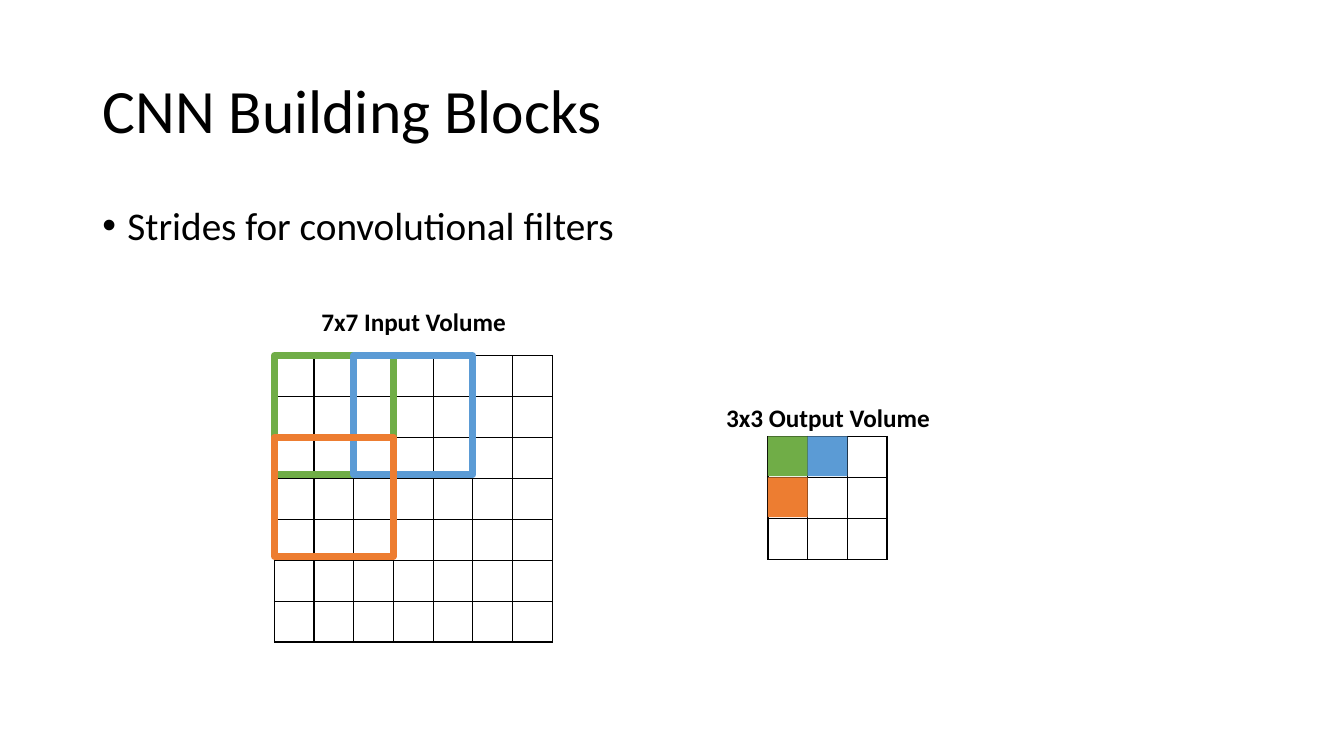
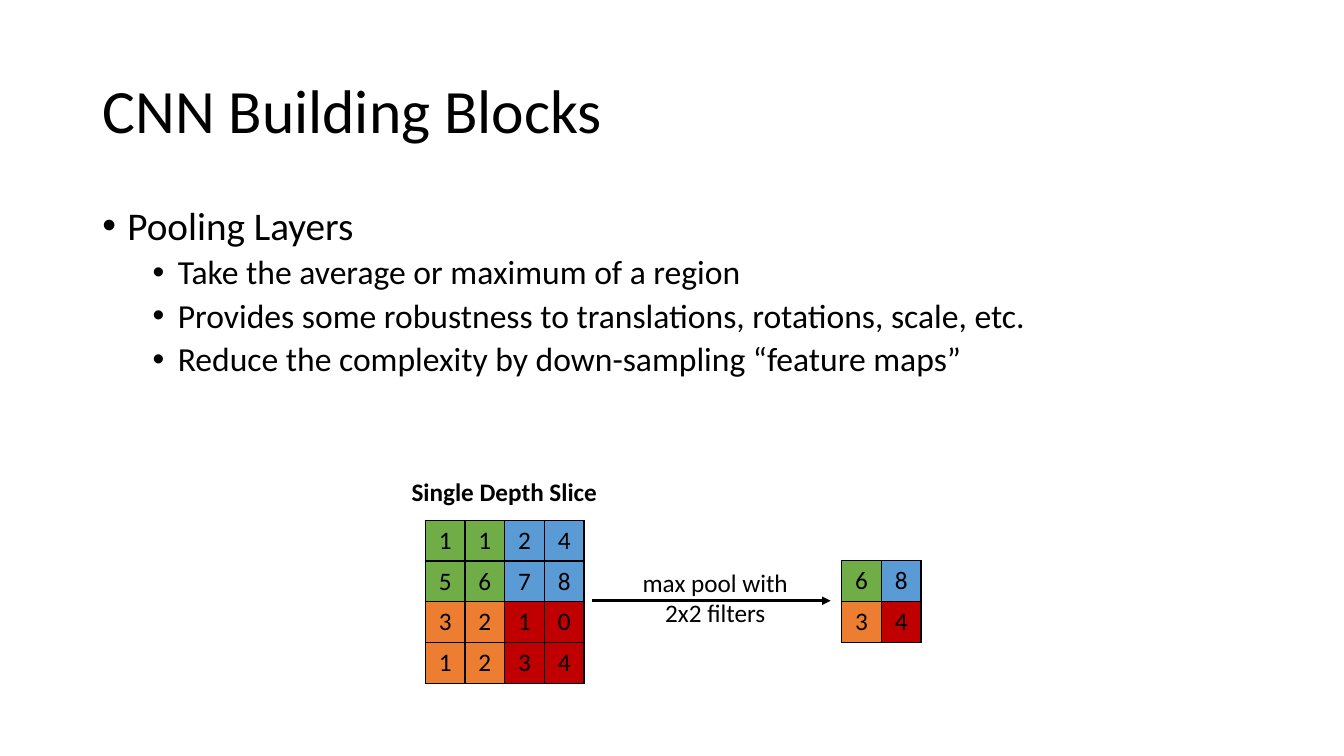
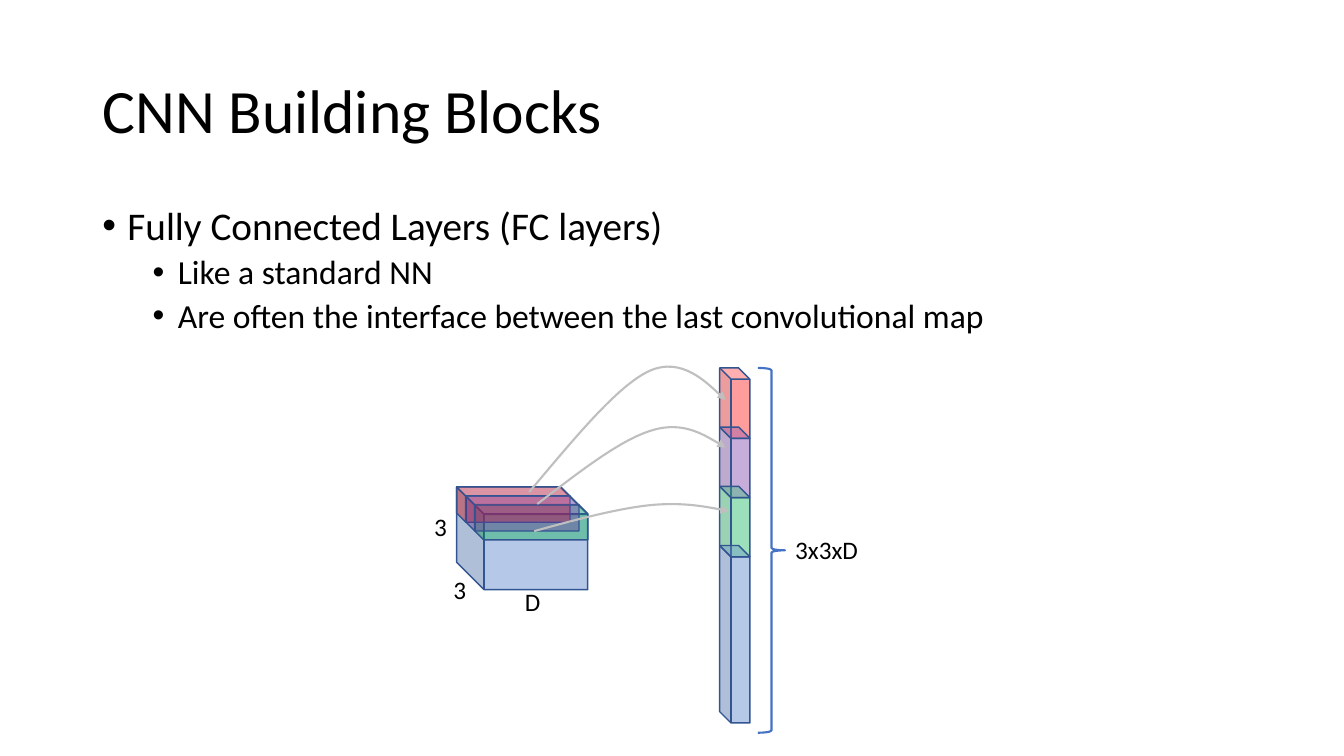
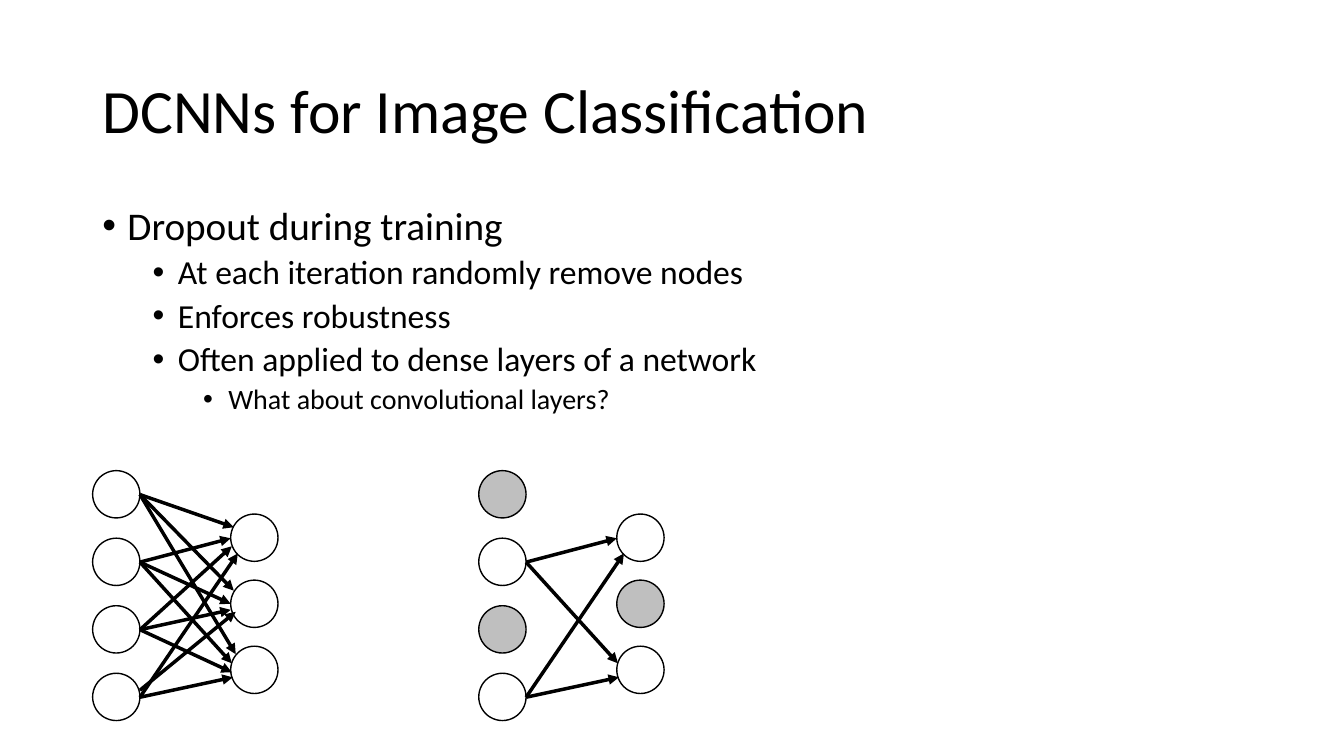
from lxml.etree import SubElement
from pptx import Presentation
from pptx.dml.color import RGBColor
from pptx.enum.shapes import MSO_CONNECTOR, MSO_SHAPE
from pptx.enum.text import MSO_ANCHOR, MSO_AUTO_SIZE, PP_ALIGN
from pptx.oxml.ns import qn
from pptx.util import Pt

FONT = "Calibri"
BLACK, WHITE, GREY = "000000", "FFFFFF", "BFBFBF"
GREEN, BLUE, ORANGE, RED = "70AD47", "5B9BD5", "ED7D31", "C00000"
QUADS = [[GREEN, BLUE], [ORANGE, RED]]
NAVY, INK = "4472C4", "325491"
SLABS = ["FF0000", "7030A0", "00B050"]
SIZES = [28, 24, 20]
COL, ROW = 28.35, 29.2
NODE = 33.8
TIPS = [
    [(100.8, 376.6), (100.8, 421.9), (102.2, 467.3)],
    [(98.6, 384.5), (98.6, 431.3), (99.4, 473.8)],
    [(99.4, 390.2), (98.6, 435.6), (99.4, 480.2)],
    [(103.7, 395.3), (102.2, 437), (100.1, 483.8)],
]
ARCS = [
    [(378, 351.4), (409.7, 313.9), (440.6, 275.8), (463.7, 265),
     (487.4, 254.2), (518.4, 285.8)],
    [(383.8, 360), (414, 337), (443.5, 313.9), (465.8, 307.4),
     (488.9, 300.2), (518.4, 319.7)],
    [(381.6, 379.4), (412.6, 370.8), (442.8, 362.9), (465.8, 360.7),
     (489.6, 358.6), (520.6, 365)],
]


def paint(target, color):
    target.solid()
    target.fore_color.rgb = RGBColor.from_string(color)


def pts(*nums):
    return [Pt(n) for n in nums]


def write(par, text, size, bold=False):
    run = par.add_run()
    run.text = text
    font = run.font
    font.name, font.size, font.bold = FONT, Pt(size), bold
    font.color.rgb = RGBColor.from_string(BLACK)


def start(deck, title, items, title_w, body_w):
    slide = deck.slides.add_slide(deck.slide_layouts[5])
    head = slide.shapes.title
    head.left, head.top, head.width, head.height = pts(66, 29, title_w, 104)
    frame = head.text_frame
    frame.auto_size = MSO_AUTO_SIZE.NONE
    frame.vertical_anchor = MSO_ANCHOR.MIDDLE
    par = frame.paragraphs[0]
    par.alignment = PP_ALIGN.LEFT
    par.line_spacing = 0.9
    write(par, title, 44)
    bullets(slide, items, body_w)
    return slide


def bullets(slide, items, width):
    box = slide.shapes.add_textbox(*pts(66, 144, width, 343))
    frame = box.text_frame
    frame.word_wrap = True
    for num, (level, text) in enumerate(items):
        par = frame.add_paragraph() if num else frame.paragraphs[0]
        props = par._p.get_or_add_pPr()
        props.set("marL", str(Pt(18 + 36 * level)))
        props.set("indent", str(Pt(-18)))
        SubElement(props, qn("a:buFont")).set("typeface", "Arial")
        SubElement(props, qn("a:buChar")).set("char", "•")
        par.level = level
        par.line_spacing = 0.9
        par.space_before = Pt(5 if num else 0)
        write(par, text, SIZES[level])


def label(slide, text, x, y, w, h=28.8, bold=False, align=PP_ALIGN.CENTER):
    frame = slide.shapes.add_textbox(*pts(x, y, w, h)).text_frame
    frame.word_wrap = True
    par = frame.paragraphs[0]
    par.alignment = align
    write(par, text, 18, bold)


def edge(cell):
    props = cell._tc.get_or_add_tcPr()
    for side in ("a:lnL", "a:lnR", "a:lnT", "a:lnB"):
        line = SubElement(props, qn(side), w=str(Pt(1)))
        fill = SubElement(line, qn("a:solidFill"))
        SubElement(fill, qn("a:srgbClr")).set("val", BLACK)


def grid(slide, x, y, count, rows=None):
    box = pts(x, y, COL * count, ROW * count)
    table = slide.shapes.add_table(count, count, *box).table
    table.first_row = table.horz_banding = False
    for i in range(count):
        table.columns[i].width = Pt(COL)
        table.rows[i].height = Pt(ROW)
        for j in range(count):
            cell = table.cell(i, j)
            edge(cell)
            par = cell.text_frame.paragraphs[0]
            par.alignment = PP_ALIGN.CENTER
            if rows:
                paint(cell.fill, QUADS[2 * i // count][2 * j // count])
                write(par, rows[i][j], 18)
            else:
                cell.fill.background()
                par.font.size = Pt(18)


def style(item, fill=None, line=None, width=1):
    item.shadow.inherit = False
    if fill:
        paint(item.fill, fill)
    else:
        item.fill.background()
    if line:
        paint(item.line.fill, line)
        item.line.width = Pt(width)
    else:
        item.line.fill.background()


def shape(slide, kind, x, y, w, h, **look):
    item = slide.shapes.add_shape(kind, *pts(x, y, w, h))
    style(item, **look)
    return item


def cube(slide, x, y, w, h, depth, color):
    item = shape(slide, MSO_SHAPE.CUBE, x, y, w, h, fill=color, line=INK)
    item.adjustments[0] = depth
    props = item.element.spPr
    props.find(qn("a:xfrm")).set("flipH", "1")
    tint = props.find(qn("a:solidFill")).find(qn("a:srgbClr"))
    SubElement(tint, qn("a:alpha")).set("val", "39000")


def point(item):
    line = item.element.spPr.find(qn("a:ln"))
    SubElement(line, qn("a:tailEnd")).set("type", "triangle")


def arrow(slide, x1, y1, x2, y2, width):
    ends = pts(x1, y1, x2, y2)
    item = slide.shapes.add_connector(MSO_CONNECTOR.STRAIGHT, *ends)
    paint(item.line.fill, BLACK)
    item.line.width = Pt(width)
    point(item)
    SubElement(item.element.spPr, qn("a:effectLst"))


def arc(slide, dots):
    first, *rest = [pts(*dot) for dot in dots + dots[-1:]]
    pen = slide.shapes.build_freeform(*first)
    pen.add_line_segments(rest, close=False)
    item = pen.convert_to_shape()
    style(item, line=GREY, width=1.5)
    point(item)
    track = item.element.find(".//" + qn("a:path"))
    steps = track.findall(qn("a:lnTo"))
    for i in range(0, len(steps), 3):
        curve = SubElement(track, qn("a:cubicBezTo"))
        for step in steps[i:i + 3]:
            curve.append(step[0])
            track.remove(step)


def net(slide, x, left_off=(), right_off=()):
    for dx, y, gap, count, off in (
        (0, 336.2, 48.24, 4, left_off),
        (98.6, 367.2, 47.2, 3, right_off),
    ):
        for i in range(count):
            shape(slide, MSO_SHAPE.OVAL, x + dx, y + gap * i, NODE, NODE,
                  fill=GREY if i in off else WHITE, line=BLACK)
    for i, row in enumerate(TIPS):
        for j, (dx, y) in enumerate(row):
            if i not in left_off and j not in right_off:
                lift = 5 if (i, j) == (3, 1) else 0
                arrow(slide, x + NODE, 353.3 + 48.24 * i - lift,
                      x + dx, y, 2.5)


def strides(deck):
    slide = start(deck, "CNN Building Blocks",
                  [(0, "Strides for convolutional filters")], 613, 693)
    grid(slide, 196, 254.2, 7)
    grid(slide, 548.6, 311.8, 3)
    marks = [(0, 0, GREEN), (1, 0, BLUE), (0, 1, ORANGE)]
    for col, row, color in marks:
        shape(slide, MSO_SHAPE.RECTANGLE, 196 + 2 * col * COL,
              254 + 2 * row * ROW, 3 * COL, 3 * COL, line=color, width=5)
    for col, row, color in marks:
        shape(slide, MSO_SHAPE.RECTANGLE, 548.6 + col * COL,
              311.8 + row * ROW, COL, COL, fill=color)
    label(slide, "7x7 Input Volume", 217.4, 215.3, 156.2, bold=True)
    label(slide, "3x3 Output Volume", 504.7, 283.7, 173.5, bold=True)


def pooling(deck):
    slide = start(deck, "CNN Building Blocks", [
        (0, "Pooling Layers"),
        (1, "Take the average or maximum of a region"),
        (1, "Provides some robustness to translations, rotations, scale, etc."),
        (1, "Reduce the complexity by down-sampling “feature maps”"),
    ], 805, 828)
    grid(slide, 303.8, 371.5, 4, ["1124", "5678", "3210", "1234"])
    grid(slide, 601.2, 400.3, 2, ["68", "34"])
    label(slide, "Single Depth Slice", 282.2, 337, 156.2, bold=True)
    arrow(slide, 422.6, 429.1, 593.3, 429.1, 2)
    label(slide, "max pool with 2x2 filters", 448.6, 401.8, 124.6, 51)


def dense(deck):
    slide = start(deck, "CNN Building Blocks", [
        (0, "Fully Connected Layers (FC layers)"),
        (1, "Like a standard NN"),
        (1, "Are often the interface between the last convolutional map"),
    ], 613, 817)
    cube(slide, 326.2, 347.8, 93.6, 73.4, 0.268, NAVY)
    for i in (2, 0, 1):
        cube(slide, 326.2 + 6.4 * i, 347.8 + 6.3 * i, 81, 25.2, 0.263, SLABS[i])
    for i, color in enumerate(SLABS + [NAVY]):
        height = 126.7 if color == NAVY else 50.4
        cube(slide, 514.1, 262.8 + 42.3 * i, 21.6, height, 0.374, color)
    for text, x, y, w in (
        ("3", 316.8, 406.8, 28),
        ("3", 303.1, 361.4, 28),
        ("D", 367.9, 415.4, 28),
        ("3x3xD", 560.9, 378, 64.8),
    ):
        label(slide, text, x, y, w, align=PP_ALIGN.LEFT)
    for dots in ARCS:
        arc(slide, dots)
    shape(slide, MSO_SHAPE.RIGHT_BRACE, 541.4, 262.8, 19.4, 260.6,
          line=NAVY, width=1.5)


def dropout(deck):
    slide = start(deck, "DCNNs for Image Classification", [
        (0, "Dropout during training"),
        (1, "At each iteration randomly remove nodes"),
        (1, "Enforces robustness"),
        (1, "Often applied to dense layers of a network"),
        (2, "What about convolutional layers?"),
    ], 828, 828)
    net(slide, 66.2)
    net(slide, 342, (0, 2), (1,))


def main():
    deck = Presentation()
    deck.slide_width, deck.slide_height = pts(960, 540)
    strides(deck)
    pooling(deck)
    dense(deck)
    dropout(deck)
    deck.save("out.pptx")


if __name__ == "__main__":
    main()
